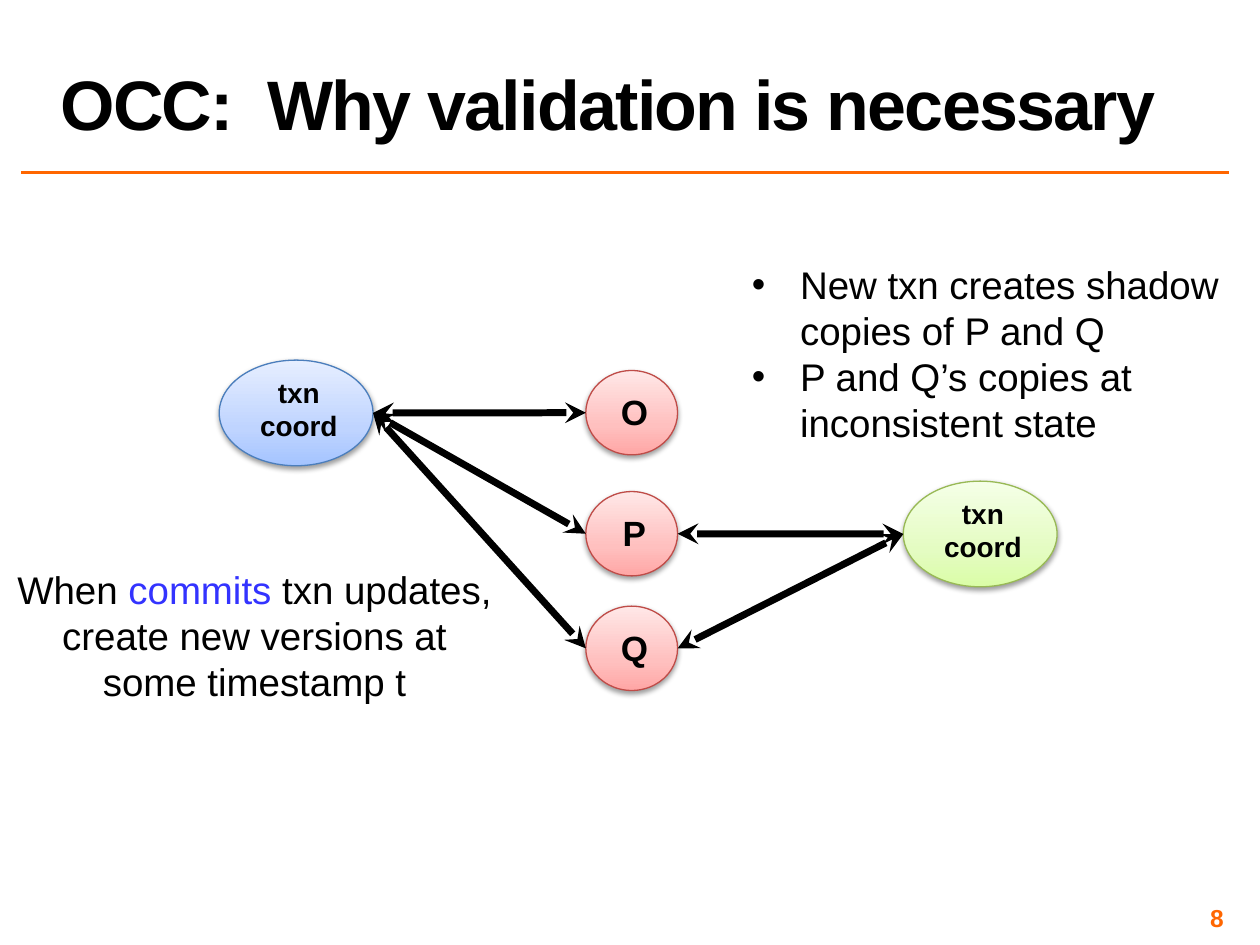
from dataclasses import dataclass

from lxml.etree import SubElement
from pptx import Presentation
from pptx.dml.color import RGBColor
from pptx.enum.shapes import MSO_CONNECTOR as Connector, MSO_SHAPE as Preset
from pptx.enum.text import MSO_ANCHOR as Anchor, PP_ALIGN as Align
from pptx.oxml.ns import qn
from pptx.util import Cm, Pt

BLACK, ORANGE, BLUE = "000000", "FF6600", "3333FF"


@dataclass(frozen=True)
class Palette:
    stops: tuple[tuple[int, str], ...]
    outline: str


@dataclass(frozen=True)
class Node:
    """An ellipse with its label; lengths in cm, label placed relative to it."""
    label: str
    left: float
    top: float
    width: float
    height: float
    label_box: tuple[float, float, float, float]
    size: int
    palette: Palette

    @property
    def right(self) -> float:
        return self.left + self.width

    @property
    def middle(self) -> float:
        return self.top + self.height / 2


BLUES = Palette(((0, "A4C4FF"), (35, "BFD4FF"), (100, "E6EEFF")), "4B7EBC")
REDS = Palette(((0, "FFA6A5"), (35, "FFC0BF"), (100, "FFE7E7")), "BF4C48")
GREENS = Palette(((0, "DAFDA7"), (35, "E4FCC2"), (100, "F5FFE7")), "98B955")


def rgb(hex_code: str) -> RGBColor:
    return RGBColor.from_string(hex_code)


def add_xml(parent, tag: str, **attributes):
    return SubElement(parent, qn(tag), {k: str(v) for k, v in attributes.items()})


def add_text(shapes, paragraphs, left, top, width, height, *, size, color=BLACK,
             bold=False, align=Align.LEFT, anchor=Anchor.TOP, inset=None,
             line_spacing=None, tracking=None, bullet_indent=None) -> None:
    """Each paragraph is a string or a list of (text, colour) runs."""
    frame = shapes.add_textbox(Cm(left), Cm(top), Cm(width), Cm(height)).text_frame
    frame.word_wrap = True
    frame.vertical_anchor = anchor
    if inset is not None:
        frame.margin_left = frame.margin_right = Cm(inset)
        frame.margin_top = frame.margin_bottom = Cm(inset)
    for index, content in enumerate(paragraphs):
        paragraph = frame.add_paragraph() if index else frame.paragraphs[0]
        paragraph.alignment = align
        if line_spacing:
            paragraph.line_spacing = line_spacing
        if bullet_indent:
            properties = paragraph._p.get_or_add_pPr()
            properties.set("marL", str(Cm(bullet_indent)))
            properties.set("indent", str(-Cm(bullet_indent)))
            add_xml(properties, "a:buFont", typeface="Arial")
            add_xml(properties, "a:buChar", char="•")
        runs = [(content, color)] if isinstance(content, str) else content
        for text, run_color in runs:
            run = paragraph.add_run()
            run.text = text
            font = run.font
            font.name, font.size, font.bold = "Arial", Pt(size), bold
            font.color.rgb = rgb(run_color)
            if tracking:
                run._r.get_or_add_rPr().set("spc", str(round(tracking * 100)))


def add_line(shapes, start: tuple[float, float], end: tuple[float, float],
             color: str, weight: float, arrows: bool = False) -> None:
    line = shapes.add_connector(Connector.STRAIGHT, *(Cm(v) for v in start + end))
    line.line.color.rgb = rgb(color)
    line.line.width = Pt(weight)
    if arrows:
        for tag in ("a:headEnd", "a:tailEnd"):
            add_xml(line.line._get_or_add_ln(), tag, type="stealth")
    add_xml(line._element.spPr, "a:effectLst")


def add_node(slide, node: Node) -> None:
    shapes = slide.shapes.add_group_shape().shapes
    ellipse = shapes.add_shape(Preset.OVAL, Cm(node.left), Cm(node.top),
                               Cm(node.width), Cm(node.height))
    ellipse.line.color.rgb = rgb(node.palette.outline)
    ellipse.line.width = Pt(0.75)

    # Gradient from bottom to top
    ellipse.fill.gradient()
    ellipse.fill.gradient_angle = 90
    properties = ellipse._element.spPr
    stop_list = properties.find(".//" + qn("a:gsLst"))
    stop_list.clear()
    for position, color in node.palette.stops:
        stop = add_xml(stop_list, "a:gs", pos=position * 1000)
        add_xml(stop, "a:srgbClr", val=color)

    # Soft shadow below
    ellipse.shadow.inherit = False
    shadow = add_xml(properties.find(qn("a:effectLst")), "a:outerShdw",
                     blurRad=Pt(3.1), dist=Pt(1.6), dir=90 * 60000, rotWithShape=0)
    shadow_color = add_xml(shadow, "a:srgbClr", val=BLACK)
    add_xml(shadow_color, "a:alpha", val=38000)

    dx, dy, width, height = node.label_box
    add_text(shapes, [node.label], node.left + dx, node.top + dy, width, height,
             size=node.size, bold=True, align=Align.CENTER)


def coordinator(left: float, top: float, palette: Palette) -> Node:
    return Node("txn coord", left, top, 3.1, 2.13, (0.4, 0.18, 2.41, 1.63), 16, palette)


def data_object(label: str, top: float) -> Node:
    return Node(label, 11.81, top, 1.85, 1.7, (0.43, 0.28, 1.1, 1.12), 20, REDS)


def main() -> None:
    deck = Presentation()
    deck.slide_width, deck.slide_height = Cm(25.4), Cm(19.05)
    slide = deck.slides.add_slide(deck.slide_layouts[6])
    shapes = slide.shapes

    # Title, rule and page number
    add_line(shapes, (0.43, 3.48), (24.77, 3.48), ORANGE, 2)
    add_text(shapes, ["8"], 18.85, 18.21, 5.92, 0.58, size=14, color=ORANGE,
             bold=True, align=Align.RIGHT, anchor=Anchor.MIDDLE, inset=0.1)
    add_text(shapes, ["OCC:  Why validation is necessary"], 0.97, 0.05, 23.8, 2.97,
             size=40, bold=True, anchor=Anchor.BOTTOM, line_spacing=0.8, tracking=-1)

    # Coordinators and the objects they access
    first_txn = coordinator(4.42, 7.26, BLUES)
    new_txn = coordinator(18.21, 9.7, GREENS)
    objects = [data_object(label, top)
               for label, top in (("O", 7.47), ("P", 9.91), ("Q", 12.22))]
    for node in (first_txn, *objects, new_txn):
        add_node(slide, node)

    # Explanations
    add_text(shapes,
             [[("When ", BLACK), ("commits ", BLUE), ("txn updates,", BLACK)],
              "create new versions at some timestamp t"],
             0.05, 11.28, 10.16, 3.07, size=22, align=Align.CENTER)
    add_text(shapes,
             ["New txn creates shadow copies of P and Q",
              "P and Q’s copies at inconsistent state"],
             14.91, 5.13, 10.26, 4.01, size=22, bullet_indent=0.97)

    # Accesses: the first transaction uses all objects, the new one P and Q
    for target in objects:
        add_line(shapes, (first_txn.right, first_txn.middle),
                 (target.left, target.middle), BLACK, 4, arrows=True)
    for target in objects[1:]:
        add_line(shapes, (new_txn.left, new_txn.middle),
                 (target.right, target.middle), BLACK, 4, arrows=True)

    deck.save("out.pptx")


if __name__ == "__main__":
    main()
